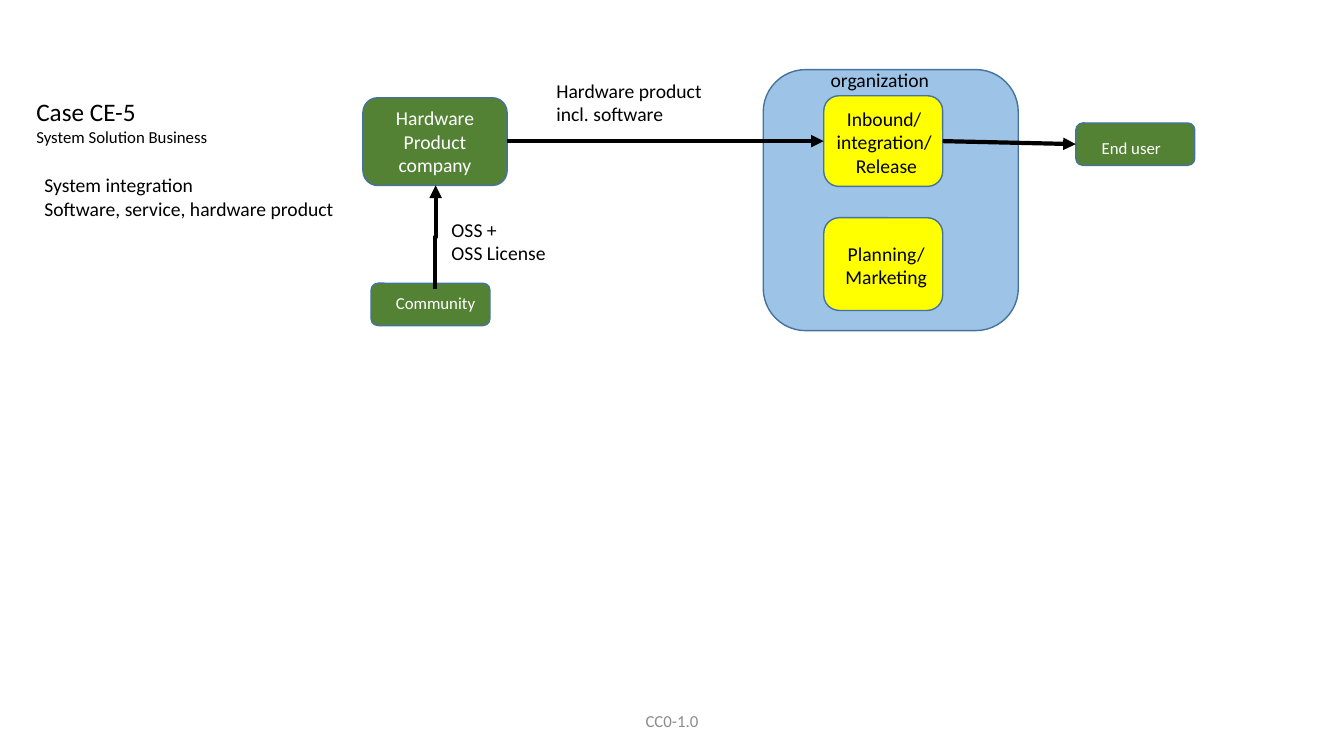
"""Build the CE-5 system solution business flow slide."""
from dataclasses import dataclass

from lxml import etree
from pptx import Presentation
from pptx import util as u
from pptx.dml.color import RGBColor
from pptx.enum import shapes, text
from pptx.oxml import ns

PX = 9144
FONT = "Calibri"
COLORS = {
    "black": "000000",
    "white": "FFFFFF",
    "grey": "8C8C8C",
    "green": "548235",
    "blue": "9DC3E6",
    "yellow": "FFFF00",
    "outline": "43739E",
}
LEFT, CENTER = text.PP_ALIGN.LEFT, text.PP_ALIGN.CENTER
TOP, MIDDLE = text.MSO_ANCHOR.TOP, text.MSO_ANCHOR.MIDDLE
STRAIGHT, ELBOW = shapes.MSO_CONNECTOR.STRAIGHT, shapes.MSO_CONNECTOR.ELBOW


@dataclass(frozen=True)
class Box:
    area: tuple[int, int, int, int]
    fill: str
    label: str = ""


@dataclass(frozen=True)
class Label:
    area: tuple[int, int, int, int]
    label: str
    size: int = 14
    color: str = "black"
    align: text.PP_ALIGN = LEFT
    anchor: text.MSO_ANCHOR = TOP
    wrap: bool = True


@dataclass(frozen=True)
class Arrow:
    start: tuple[int, int]
    end: tuple[int, int]
    kind: shapes.MSO_CONNECTOR = STRAIGHT
    rotation: int = 0


BOXES = [
    Box((757, 69, 253, 259), "blue"),
    Box((1067, 122, 118, 42), "green"),
    Box((368, 281, 118, 42), "green"),
    Box((360, 97, 143, 87), "green", "Hardware Product company"),
    Box((817, 95, 118, 90), "yellow"),
    Box((817, 216, 118, 92), "yellow"),
]
ARROWS = [
    Arrow((483, 236), (380, 235), ELBOW, 90),
    Arrow((503, 140), (817, 140)),
    Arrow((935, 140), (1067, 143)),
]
LABELS = [
    Label((508, 695, 317, 40), "CC0-1.0", 12, "grey", CENTER, MIDDLE),
    Label((1077, 132, 90, 30), "End user", 12, "white", CENTER),
    Label((378, 286, 108, 30), "Community", 12, "white", CENTER),
    Label((542, 73, 187, 57), "Hardware product incl. software"),
    Label((438, 211, 114, 57), "OSS +\nOSS License", wrap=False),
    Label((810, 101, 134, 81), "Inbound/\nintegration/\n Release", align=CENTER),
    Label((823, 235, 112, 57), "Planning/Marketing", align=CENTER),
    Label((814, 62, 119, 34), "organization", wrap=False),
]


def rgb(name: str) -> RGBColor:
    return RGBColor.from_string(COLORS[name])


def px(values: tuple[int, ...]) -> list[int]:
    return [value * PX for value in values]


def write(shape, content: str, *, sizes: tuple[int, ...] = (14,), color: str = "black",
          align: text.PP_ALIGN = LEFT, anchor: text.MSO_ANCHOR = TOP,
          wrap: bool = True) -> None:
    frame = shape.text_frame
    frame.text = content
    frame.word_wrap = wrap
    frame.auto_size = text.MSO_AUTO_SIZE.NONE
    frame.vertical_anchor = anchor
    for index, para in enumerate(frame.paragraphs):
        para.alignment = align
        para.space_before = u.Pt(0)
        for span in para.runs:
            span.font.name = FONT
            span.font.size = u.Pt(sizes[min(index, len(sizes) - 1)])
            span.font.color.rgb = rgb(color)


def place(shape, area: tuple[int, int, int, int]) -> None:
    shape.left, shape.top, shape.width, shape.height = px(area)


def remove_bullets(shape) -> None:
    for para in shape.text_frame.paragraphs:
        properties = para._p.get_or_add_pPr()
        properties.set("marL", "0")
        properties.set("indent", "0")
        etree.SubElement(properties, ns.qn("a:buNone"))


def draw_box(page, box: Box) -> None:
    shape = page.shapes.add_shape(shapes.MSO_SHAPE.ROUNDED_RECTANGLE, *px(box.area))
    shape.shadow.inherit = False
    shape.fill.solid()
    shape.fill.fore_color.rgb = rgb(box.fill)
    shape.line.color.rgb = rgb("outline")
    shape.line.width = u.Pt(1)
    if box.label:
        write(shape, box.label, color="white", align=CENTER, anchor=MIDDLE)


def draw_label(page, label: Label) -> None:
    shape = page.shapes.add_textbox(*px(label.area))
    write(shape, label.label, sizes=(label.size,), color=label.color,
          align=label.align, anchor=label.anchor, wrap=label.wrap)


def draw_arrow(page, arrow: Arrow) -> None:
    connector = page.shapes.add_connector(arrow.kind, *px(arrow.start + arrow.end))
    connector.line.color.rgb = rgb("black")
    connector.line.width = u.Pt(3)
    properties = connector._element.spPr
    if arrow.rotation:
        properties.find(ns.qn("a:xfrm")).set("rot", str(arrow.rotation * 60000))
    line = properties.find(ns.qn("a:ln"))
    etree.SubElement(line, ns.qn("a:tailEnd"), type="triangle")
    etree.SubElement(properties, ns.qn("a:effectLst"))


def main() -> None:
    deck = Presentation()
    deck.slide_width, deck.slide_height = px((1333, 750))
    page = deck.slides.add_slide(deck.slide_layouts[1])

    title, body = page.placeholders
    place(title, (26, 91, 209, 61))
    write(title, "Case CE-5\nSystem Solution Business", sizes=(18, 12))
    place(body, (34, 167, 404, 57))
    write(body, "System integration\nSoftware, service, hardware product")
    remove_bullets(body)

    for box in BOXES:
        draw_box(page, box)
    for arrow in ARROWS:
        draw_arrow(page, arrow)
    for label in LABELS:
        draw_label(page, label)
    deck.save("out.pptx")


if __name__ == "__main__":
    main()
